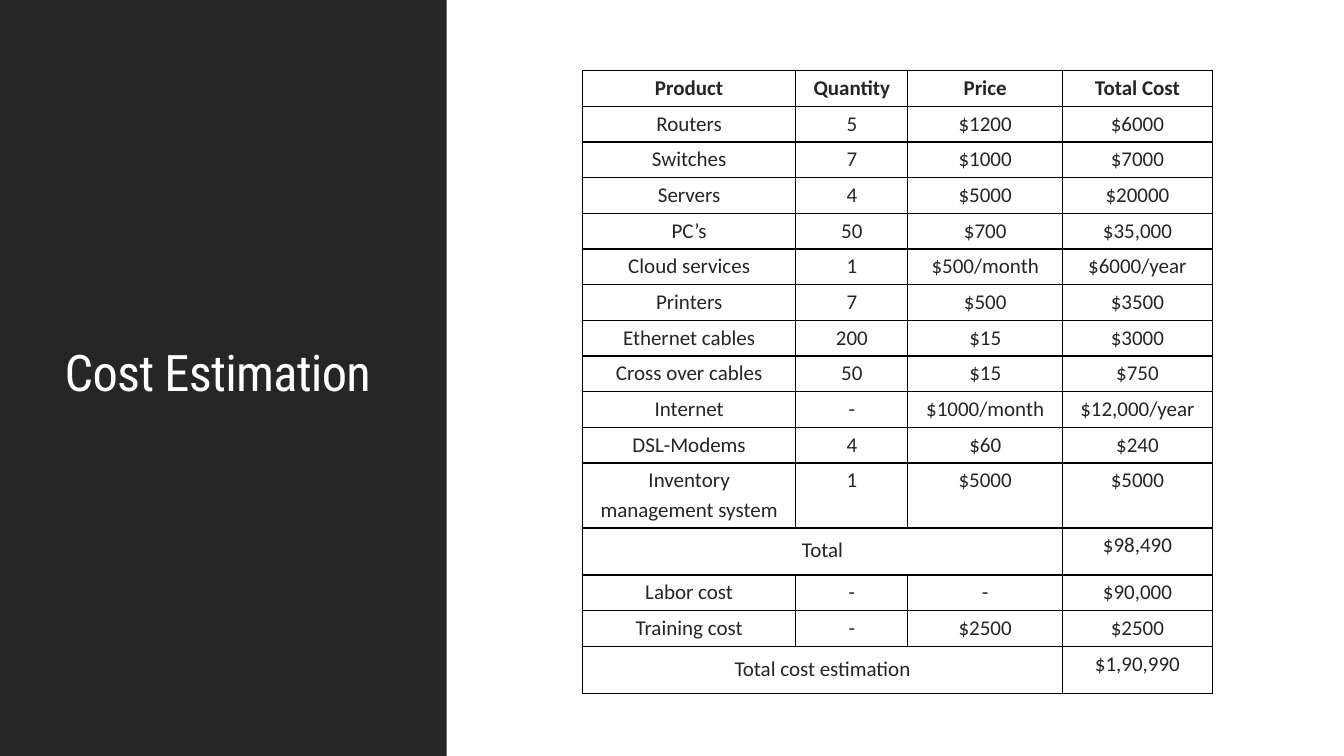
import pptx
import pptx.util
import pptx.dml.color
import pptx.enum.shapes
import pptx.enum.text
import pptx.oxml

Pt = pptx.util.Pt
RGB = pptx.dml.color.RGBColor.from_string
ALIGN = pptx.enum.text.PP_ALIGN
ANCHOR = pptx.enum.text.MSO_ANCHOR
NS = 'xmlns:a="http://schemas.openxmlformats.org/drawingml/2006/main"'

theme = {
    "dark": "262626", "light": "FFFFFF", "ink": "252525", "rule": "000000",
    "head": "Roboto Condensed", "body": "Calibri",
    "title": 36, "cell": 15,
}

rows = [
    ("Product", "Quantity", "Price", "Total Cost"),
    ("Routers", "5", "$1200", "$6000"),
    ("Switches", "7", "$1000", "$7000"),
    ("Servers", "4", "$5000", "$20000"),
    ("PC’s", "50", "$700", "$35,000"),
    ("Cloud services", "1", "$500/month", "$6000/year"),
    ("Printers", "7", "$500", "$3500"),
    ("Ethernet cables", "200", "$15", "$3000"),
    ("Cross over cables", "50", "$15", "$750"),
    ("Internet", "-", "$1000/month", "$12,000/year"),
    ("DSL-Modems", "4", "$60", "$240"),
    ("Inventory management system", "1", "$5000", "$5000"),
    ("Total", None, None, "$98,490"),
    ("Labor cost", "-", "-", "$90,000"),
    ("Training cost", "-", "$2500", "$2500"),
    ("Total cost estimation", None, None, "$1,90,990"),
]
widths = [152.5, 80, 110.5, 107]
plain, tall, total = 25.5, 46.4, 33.6


def style(run, font, size, color, bold=False):
    run.font.name = font
    run.font.size = Pt(size)
    run.font.bold = bold
    run.font.color.rgb = RGB(color)


def border(cell):
    props = cell._tc.get_or_add_tcPr()
    for spot, side in enumerate(("lnL", "lnR", "lnT", "lnB")):
        props.insert(spot, pptx.oxml.parse_xml(
            f'<a:{side} {NS} w="12700"><a:solidFill>'
            f'<a:srgbClr val="{theme["rule"]}"/></a:solidFill></a:{side}>'))


deck = pptx.Presentation()
deck.slide_width, deck.slide_height = Pt(960), Pt(540)
slide = deck.slides.add_slide(deck.slide_layouts[5])
slide.background.fill.solid()
slide.background.fill.fore_color.rgb = RGB(theme["light"])

panel = slide.shapes.add_shape(
    pptx.enum.shapes.MSO_SHAPE.RECTANGLE, 0, 0, Pt(319), Pt(540))
panel.shadow.inherit = False
panel.fill.solid()
panel.fill.fore_color.rgb = RGB(theme["dark"])
panel.line.fill.background()

title = slide.shapes.title
panel._element.addnext(title._element)
title.left, title.top = Pt(39), Pt(41)
title.width, title.height = Pt(243), Pt(454)
frame = title.text_frame
frame.text = "Cost Estimation"
frame.word_wrap = True
frame.auto_size = pptx.enum.text.MSO_AUTO_SIZE.NONE
frame.vertical_anchor = ANCHOR.MIDDLE
para = frame.paragraphs[0]
para.alignment = ALIGN.LEFT
para.line_spacing = 0.9
style(para.runs[0], theme["head"], theme["title"], theme["light"])
para.runs[0].font._element.set("spc", "-50")

table = slide.shapes.add_table(
    len(rows), len(widths), Pt(416), Pt(50.4), Pt(sum(widths)), Pt(445)).table
table.first_row = False
table.horz_banding = False
for col, width in zip(table.columns, widths):
    col.width = Pt(width)

for r, row in enumerate(rows):
    merged = row[1] is None
    high = total if merged else tall if row[0].startswith("Inventory") else plain
    table.rows[r].height = Pt(high)
    if merged:
        table.cell(r, 0).merge(table.cell(r, 2))
    for c, text in enumerate(row):
        cell = table.cell(r, c)
        cell.fill.background()
        border(cell)
        if text is None:
            continue
        wide = merged and c == 0
        cell.margin_left = cell.margin_right = Pt(9.4 if wide else 6.5)
        cell.margin_top = Pt(4.3 if wide else 0.7)
        cell.margin_bottom = Pt(4.3 if wide else 0)
        cell.vertical_anchor = ANCHOR.TOP
        cell.text_frame.text = text
        para = cell.text_frame.paragraphs[0]
        para.alignment = ALIGN.CENTER
        para.line_spacing = 1.15
        para.space_after = Pt(8)
        style(para.runs[0], theme["body"], theme["cell"], theme["ink"], r == 0)

deck.save("out.pptx")
